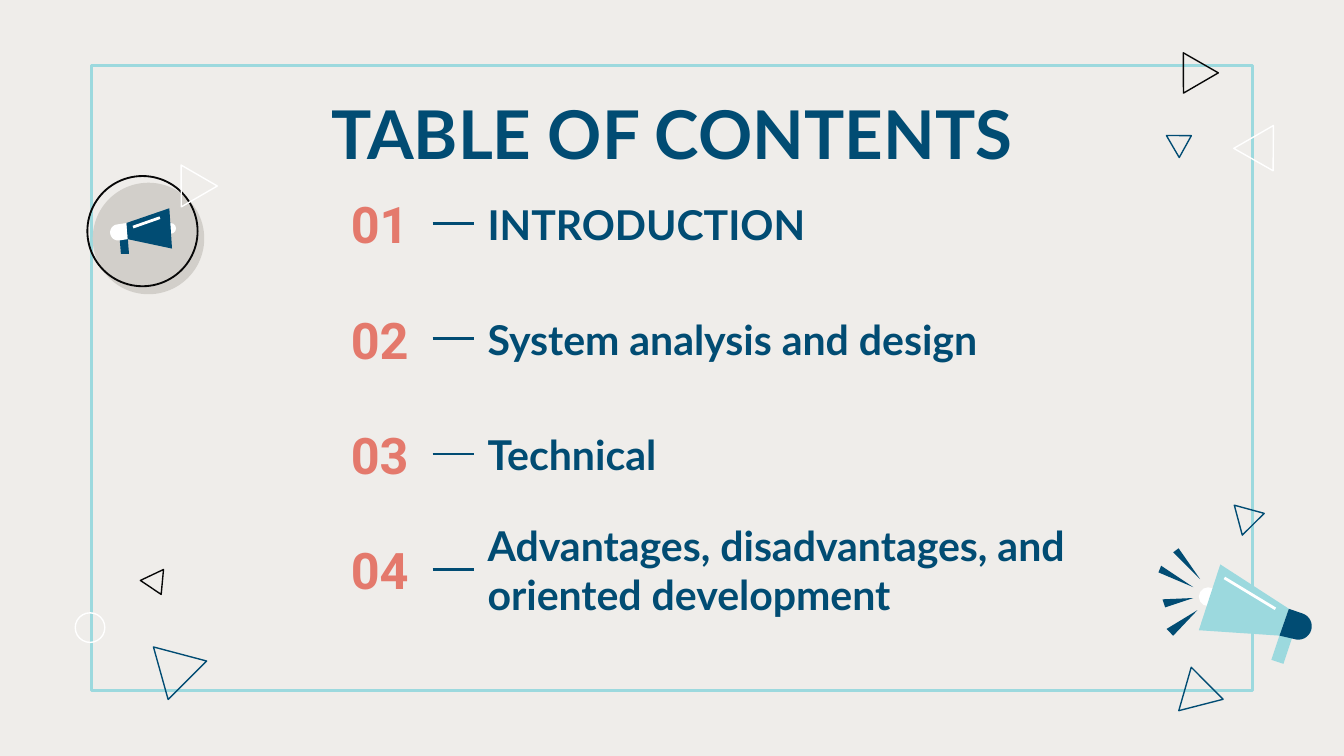
from math import cos, radians, sin

from lxml.etree import SubElement
from pptx import Presentation
from pptx.dml.color import RGBColor
from pptx.enum.shapes import MSO_CONNECTOR, MSO_SHAPE
from pptx.enum.text import MSO_ANCHOR, PP_ALIGN
from pptx.oxml.ns import qn
from pptx.util import Inches, Pt

PAPER = RGBColor(0xEF, 0xED, 0xEA)
AQUA = RGBColor(0x9C, 0xD9, 0xDE)
NAVY = RGBColor(0x01, 0x4C, 0x73)
CORAL = RGBColor(0xE4, 0x79, 0x6C)
STONE = RGBColor(0xD2, 0xCF, 0xCA)
BLACK = RGBColor(0x07, 0x07, 0x07)
WHITE = RGBColor(0xFF, 0xFF, 0xFF)


def arc(cx, cy, radius, start, end, steps=16):
    """Points along a circular arc, angles in degrees, clockwise."""
    angles = [radians(start + (end - start) * i / steps) for i in range(steps + 1)]
    return [(cx + radius * cos(a), cy + radius * sin(a)) for a in angles]


class SlideBuilder:
    def __init__(self, slide):
        self.slide = slide
        self.shapes = slide.shapes
        slide.background.fill.solid()
        slide.background.fill.fore_color.rgb = PAPER

    def paint(self, sp, fill=None, line=None, weight=0.75):
        sp.shadow.inherit = False
        if fill is None:
            sp.fill.background()
        else:
            sp.fill.solid()
            sp.fill.fore_color.rgb = fill
        if line is None:
            sp.line.fill.background()
        else:
            sp.line.color.rgb = line
            sp.line.width = Pt(weight)

    def shape(self, kind, x, y, w, h, rotation=0, **style):
        sp = self.shapes.add_shape(kind, Inches(x), Inches(y), Inches(w), Inches(h))
        sp.rotation = rotation
        self.paint(sp, **style)

    def polygon(self, points, fill):
        points = [(Inches(x), Inches(y)) for x, y in points]
        builder = self.shapes.build_freeform(*points[0])
        builder.add_line_segments(points[1:], close=True)
        self.paint(builder.convert_to_shape(), fill=fill)

    def line(self, x1, y1, x2, y2, color):
        cxn = self.shapes.add_connector(
            MSO_CONNECTOR.STRAIGHT, Inches(x1), Inches(y1), Inches(x2), Inches(y2))
        cxn.line.color.rgb = color
        cxn.line.width = Pt(1.5)
        SubElement(cxn._element.spPr, qn("a:effectLst"))
        return cxn

    def text(self, text, x, y, w, h, size, color, font="Lato",
             align=PP_ALIGN.LEFT, anchor=MSO_ANCHOR.MIDDLE):
        sp = self.shapes.add_textbox(Inches(x), Inches(y), Inches(w), Inches(h))
        tf = sp.text_frame
        tf.word_wrap = True
        tf.vertical_anchor = anchor
        tf.margin_left = tf.margin_right = Inches(0.1)
        tf.margin_top = tf.margin_bottom = Inches(0.1)
        p = tf.paragraphs[0]
        p.text = text
        p.alignment = align
        p.font.name = font
        p.font.size = Pt(size)
        p.font.bold = True
        p.font.color.rgb = color
        return sp


def main():
    prs = Presentation()
    prs.slide_width = Inches(10)
    prs.slide_height = prs.slide_width * 9 // 16
    s = SlideBuilder(prs.slides.add_slide(prs.slide_layouts[6]))

    # Frame
    s.shape(MSO_SHAPE.RECTANGLE, 0.68, 0.49, 8.64, 4.65, line=AQUA, weight=1.5)

    # Round badge with a small megaphone
    s.shape(MSO_SHAPE.OVAL, 0.69, 1.36, 0.83, 0.83, fill=STONE)
    s.shape(MSO_SHAPE.OVAL, 0.65, 1.31, 0.82, 0.82, line=BLACK, weight=1)
    s.polygon([(0.89, 1.77), (0.9, 1.89), (0.96, 1.89), (0.95, 1.76)], NAVY)
    s.shape(MSO_SHAPE.OVAL, 1.23, 1.66, 0.08, 0.08, fill=WHITE)
    s.polygon([(1.26, 1.55), (0.94, 1.66), (0.95, 1.78), (1.28, 1.85)], NAVY)
    s.polygon(arc(0.88, 1.73, 0.06, 85, 265) + [(0.94, 1.66), (0.95, 1.78)], WHITE)
    s.line(0.99, 1.69, 1.19, 1.62, WHITE)

    # Large megaphone
    s.polygon([(9.62, 4.73), (9.53, 4.7), (9.46, 4.91), (9.55, 4.94)], AQUA)
    s.shape(MSO_SHAPE.OVAL, 8.92, 4.37, 0.14, 0.14, fill=WHITE)
    s.polygon([(9.59, 4.53), (9.08, 4.2), (8.92, 4.69), (9.52, 4.73)], AQUA)
    s.polygon(arc(9.66, 4.66, 0.1, -72, 108) + [(9.52, 4.73), (9.59, 4.53)], NAVY)
    sound_rays = [
        [(8.77, 4.08), (8.73, 4.11), (8.93, 4.31)],
        [(8.88, 4.37), (8.64, 4.21), (8.62, 4.26)],
        [(8.88, 4.45), (8.65, 4.46), (8.67, 4.52)],
        [(8.91, 4.54), (8.68, 4.68), (8.73, 4.73)],
    ]
    for ray in sound_rays:
        s.polygon(ray, NAVY)
    s.line(9.11, 4.3, 9.49, 4.53, WHITE)

    # Scattered outlines
    triangles = [
        (1.26, 1.21, 0.31, 0.27, 329.9, WHITE),
        (8.73, 4.96, 0.34, 0.29, 345.6, NAVY),
        (9.14, 3.73, 0.23, 0.2, 315.2, NAVY),
        (1.09, 4.86, 0.41, 0.35, 194.8, NAVY),
        (1.07, 4.27, 0.19, 0.16, 154.7, BLACK),
        (9.23, 1, 0.34, 0.29, 150, WHITE),
        (8.7, 0.97, 0.19, 0.16, 59.8, NAVY),
        (8.72, 0.45, 0.3, 0.26, 209.8, BLACK),
    ]
    for x, y, w, h, rotation, color in triangles:
        s.shape(MSO_SHAPE.ISOSCELES_TRIANGLE, x, y, w, h, rotation, line=color)
    s.shape(MSO_SHAPE.OVAL, 0.56, 4.56, 0.22, 0.22, line=WHITE)

    # Title
    s.text("TABLE OF CONTENTS", 0.78, 0.59, 8.44, 0.68, 36, NAVY,
           align=PP_ALIGN.CENTER, anchor=MSO_ANCHOR.TOP)

    # Numbered sections, each joined to its number
    sections = [
        ("INTRODUCTION", 4.03),
        ("System analysis and design", 4.03),
        ("Technical", 4.03),
        ("Advantages, disadvantages, and oriented development", 5.43),
    ]
    first_y, last_y, row_h = 1.47, 4.04, 0.39
    pitch = (last_y - first_y) / (len(sections) - 1)
    for i, (name, width) in enumerate(sections):
        y = first_y + pitch * i
        number = s.text(f"{i + 1:02}", 2.43, y, 0.79, row_h, 27, CORAL,
                        font="Roboto", align=PP_ALIGN.CENTER)
        label = s.text(name, 3.53, y, width, row_h, 22, NAVY)
        mid = y + row_h / 2
        dash = s.line(3.22, mid, 3.53, mid, NAVY)
        dash.begin_connect(number, 3)
        dash.end_connect(label, 1)

    prs.save("out.pptx")


if __name__ == "__main__":
    main()
